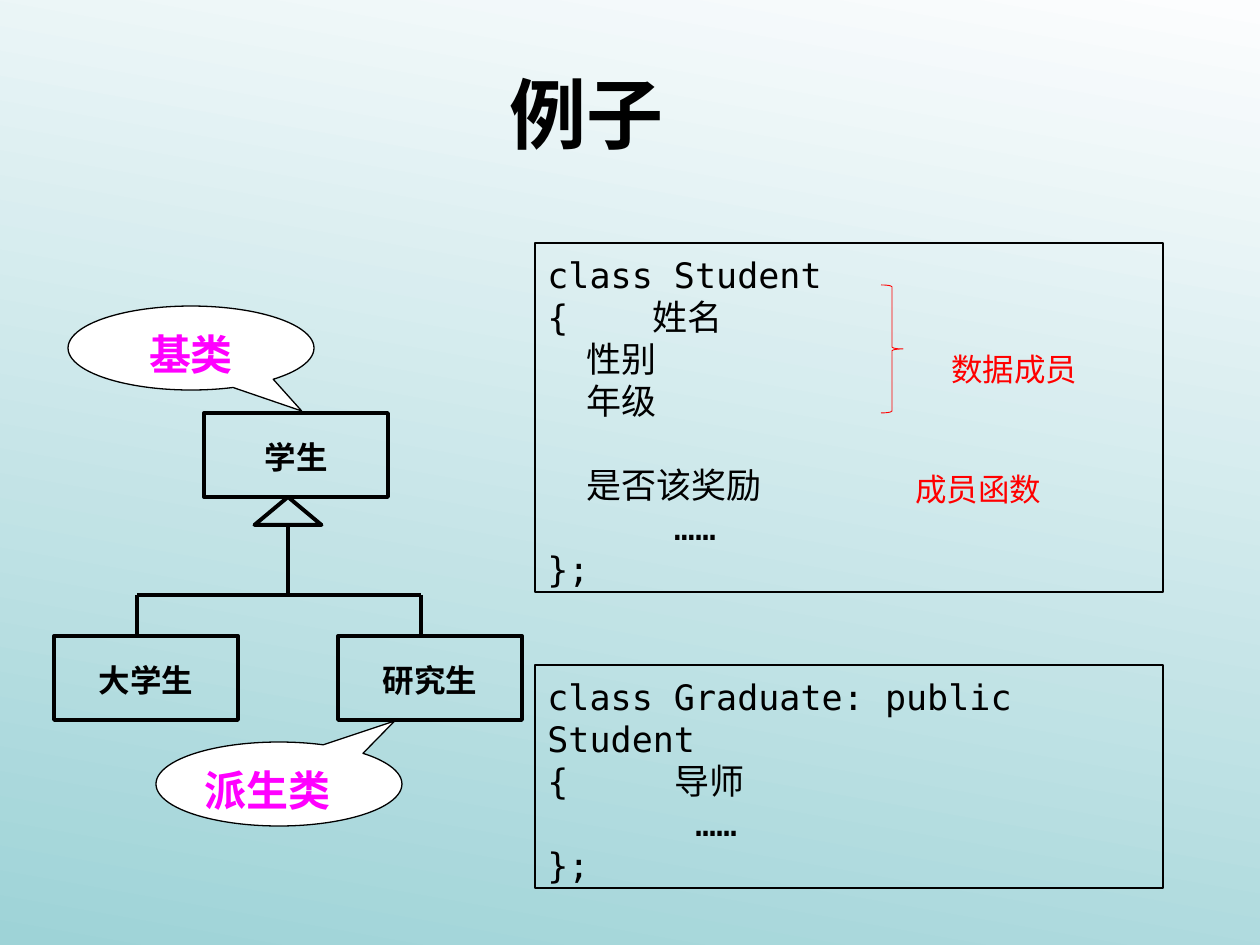
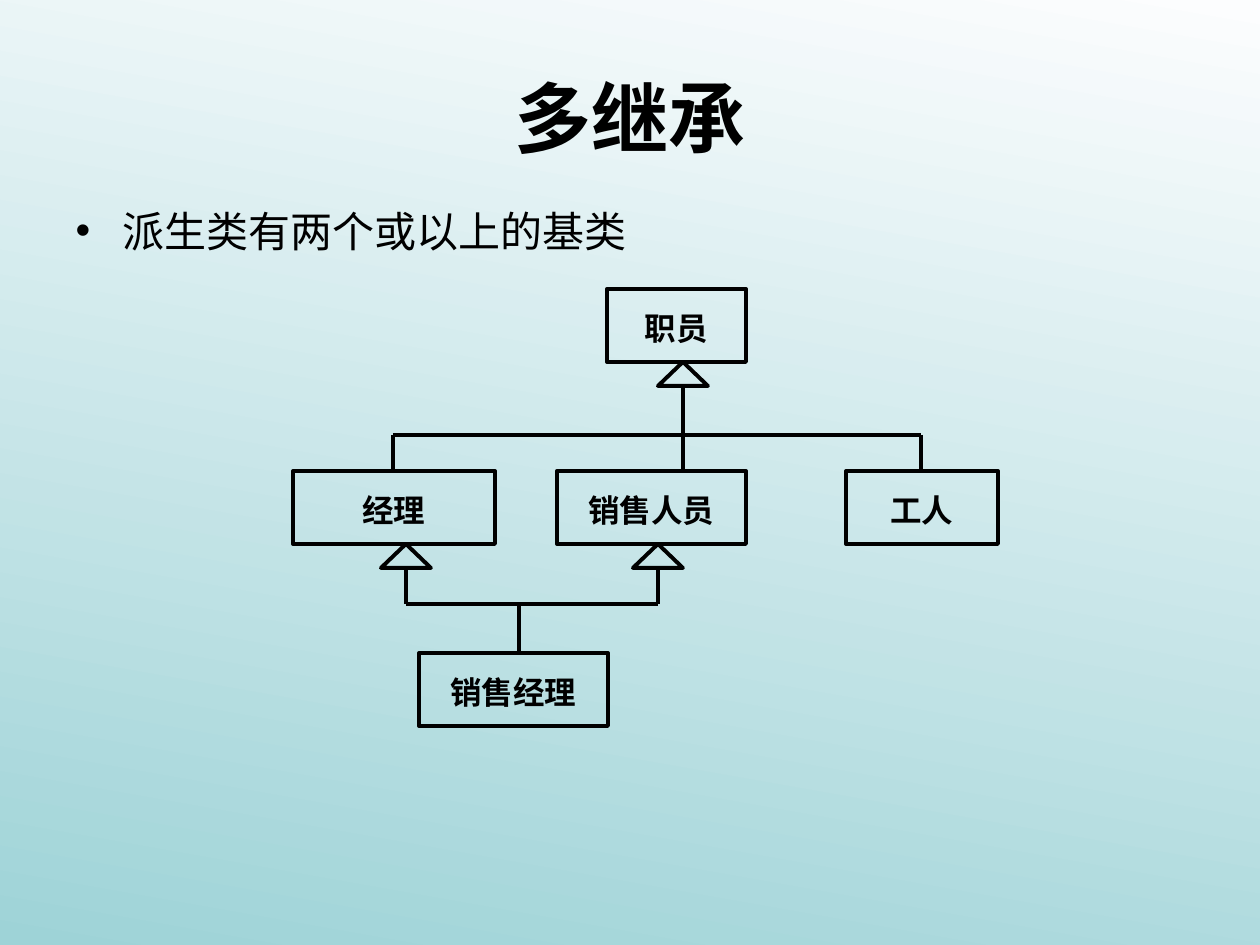
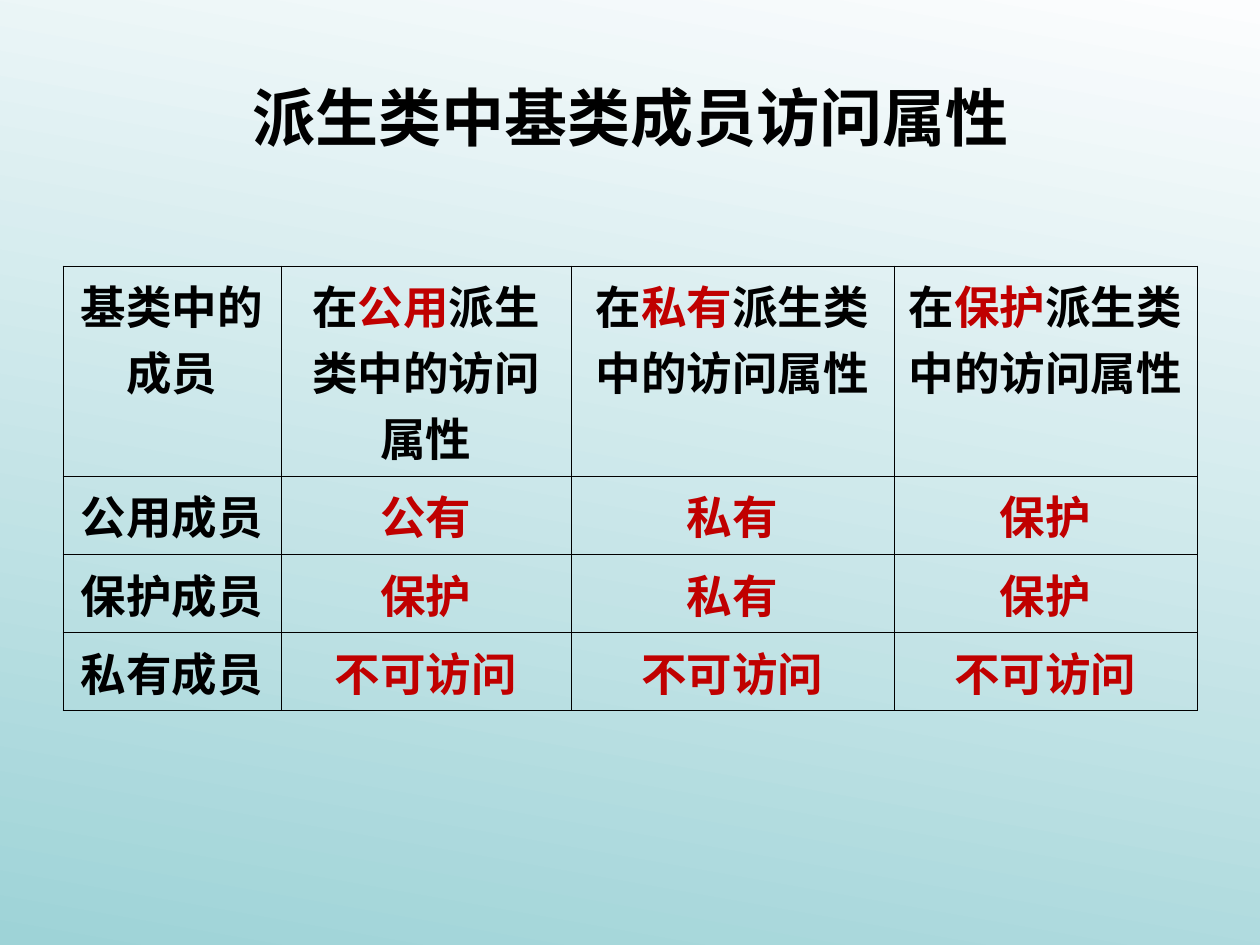
from lxml.etree import SubElement
from pptx import Presentation
from pptx.dml.color import RGBColor
from pptx.enum.shapes import MSO_CONNECTOR as Conn, MSO_SHAPE as Form
from pptx.enum.text import MSO_ANCHOR as Anchor, MSO_AUTO_SIZE as Auto, PP_ALIGN as Align
from pptx.oxml.ns import qn
from pptx.util import Emu, Pt

PX = 914400 / 126
BLACK, WHITE, RED, PINK, DARK = "000000", "FFFFFF", "FF0000", "FF00FF", "C00000"
SANS, MONO, SERIF, HAN = "Arial", "DejaVu Sans Mono", "Times New Roman", "Noto Sans CJK SC"
hue = RGBColor.from_string


def write(frame, text, size=18, font=SANS, color=BLACK, bold=False, align=Align.LEFT,
          mark=DARK, tight=True, top=10, wrap=True, mid=False):
    frame.auto_size = Auto.NONE
    frame.word_wrap = wrap
    frame.margin_top = Emu(round(top * PX))
    frame.vertical_anchor = Anchor.MIDDLE if mid else Anchor.TOP
    for i, line in enumerate(text.split("\n")):
        para = frame.add_paragraph() if i else frame.paragraphs[0]
        para.alignment = align
        para.space_before = Pt(0)
        if tight:
            para.line_spacing = Pt(size * 1.2)
        for j, part in enumerate(line.split("|")):
            if not part:
                continue
            run = para.add_run()
            run.text = part
            run.font.size = Pt(size)
            run.font.bold = bold
            run.font.name = font
            run.font.color.rgb = hue(mark if j % 2 else color)
            SubElement(run.font._element, qn("a:ea"), typeface=HAN)


def draw(slide, kind, box, line=BLACK, width=2.25, fill=None):
    area = [Emu(round(n * PX)) for n in box]
    if kind is Conn.STRAIGHT:
        item = slide.shapes.add_connector(kind, *area)
    else:
        item = slide.shapes.add_shape(kind, *area)
        if fill:
            item.fill.solid()
            item.fill.fore_color.rgb = hue(fill)
        else:
            item.fill.background()
    item.line.color.rgb = hue(line)
    item.line.width = Pt(width)
    SubElement(item._element.spPr, qn("a:effectLst"))
    return item


deck = Presentation()
deck.slide_width, deck.slide_height = Emu(round(1260 * PX)), Emu(round(945 * PX))
back = deck.slide_master.background.fill
back.gradient()
back.gradient_angle = 260
for stop, tint in zip(back.gradient_stops, ("FCFDFE", "9ED3D7")):
    stop.color.rgb = hue(tint)

HEAD = (63, 38, 1134, 157)
heads = [
    ("例子", 44, 5, (156, 79, 861, 67)),
    ("多继承", 44, 1, HEAD),
    ("派生类中基类成员访问属性", 36, 5, HEAD),
]
slides = []
for text, size, kind, box in heads:
    slide = deck.slides.add_slide(deck.slide_layouts[kind])
    title = slide.shapes.title
    title.left, title.top, title.width, title.height = [Emu(round(n * PX)) for n in box]
    write(title.text_frame, text, size=size, font=HAN, bold=True, align=Align.CENTER,
          tight=False, top=6, mid=True)
    slides.append(slide)
first, second, third = slides

body = second.placeholders[1]
body.left, body.top, body.width, body.height = [Emu(round(n * PX)) for n in (63, 195, 1134, 624)]
write(body.text_frame, "派生类有两个或以上的基类", size=24)

trees = [
    (first, 84, (67, 28),
     [("学生", 204, 413, 184), ("大学生", 54, 636, 184), ("研究生", 338, 636, 184)],
     [(288, 497)],
     [(137, 595, 137, 636), (421, 595, 421, 636), (137, 595, 421, 595),
      (288, 525, 288, 595)]),
    (second, 73, (50, 24),
     [("职员", 607, 289, 139), ("经理", 293, 471, 202), ("销售人员", 557, 471, 189),
      ("工人", 846, 471, 152), ("销售经理", 419, 653, 189)],
     [(683, 362), (406, 544), (658, 544)],
     [(393, 435, 921, 435), (683, 386, 683, 471), (393, 435, 393, 471),
      (921, 435, 921, 471), (406, 568, 406, 604), (658, 568, 658, 604),
      (406, 604, 658, 604), (519, 604, 519, 653)]),
]
for slide, high, (base, rise), nodes, tips, lines in trees:
    for text, x, y, wide in nodes:
        node = draw(slide, Form.RECTANGLE, (x, y, wide, high))
        write(node.text_frame, text, bold=True, align=Align.CENTER, wrap=False, mid=True)
    for x, y in tips:
        draw(slide, Form.ISOSCELES_TRIANGLE, (x - base / 2, y, base, rise))
    for line in lines:
        draw(slide, Conn.STRAIGHT, line)

calls = [
    ("派生类", 156, 742, (0.47, -0.75), Align.LEFT),
    ("基类", 68, 306, (0.45, 0.75), Align.CENTER),
]
for text, x, y, tip, align in calls:
    call = draw(first, Form.OVAL_CALLOUT, (x, y, 246, 84), width=0.75, fill=WHITE)
    call.adjustments[0], call.adjustments[1] = tip
    write(call.text_frame, text, size=24, color=PINK, bold=True, align=align)

codes = [
    (243, 349, """class Student
{    姓名
     性别
     年级
 
     是否该奖励
      ……
};"""),
    (665, 223, """class Graduate: public Student
{     导师
       ……
};"""),
]
for y, high, text in codes:
    code = draw(first, Form.RECTANGLE, (535, y, 628, high), width=0.75)
    write(code.text_frame, text, size=20, font=MONO)

draw(first, Form.RIGHT_BRACE, (881, 285, 22, 128), line=RED, width=0.5)
for text, x, y, wide in [("数据成员", 939, 340, 159), ("成员函数", 903, 460, 151)]:
    note = first.shapes.add_textbox(*[Emu(round(n * PX)) for n in (x, y, wide, 50)])
    write(note.text_frame, text, color=RED)

rows = [
    ["基类中的成员"] + [f"在|{way}|派生类中的访问属性" for way in ("公用", "私有", "保护")],
    ["公用成员", "|公有", "|私有", "|保护"],
    ["保护成员", "|保护", "|私有", "|保护"],
    ["私有成员"] + ["|不可访问"] * 3,
]
area = [Emu(round(n * PX)) for n in (63, 266, 1134, 378)]
grid = third.shapes.add_table(4, 4, *area).table
grid.first_row = grid.horz_banding = False
for col, wide in zip(grid.columns, (218, 290, 323, 303)):
    col.width = Emu(round(wide * PX))
for row, high in zip(grid.rows, (177, 67, 67, 67)):
    row.height = Emu(round(high * PX))
for r, row in enumerate(rows):
    for c, text in enumerate(row):
        cell = grid.cell(r, c)
        write(cell.text_frame, text, size=26, font=SERIF, bold=True, align=Align.CENTER,
              tight=False, top=6)
        cell.margin_top = Emu(round(6 * PX))
        cell.vertical_anchor = Anchor.TOP
        props = cell._tc.get_or_add_tcPr()
        for side in ("lnL", "lnR", "lnT", "lnB"):
            edge = SubElement(props, qn("a:" + side), w=str(Pt(0.45)))
            SubElement(SubElement(edge, qn("a:solidFill")), qn("a:srgbClr"), val=BLACK)
        cell.fill.background()

deck.save("out.pptx")
